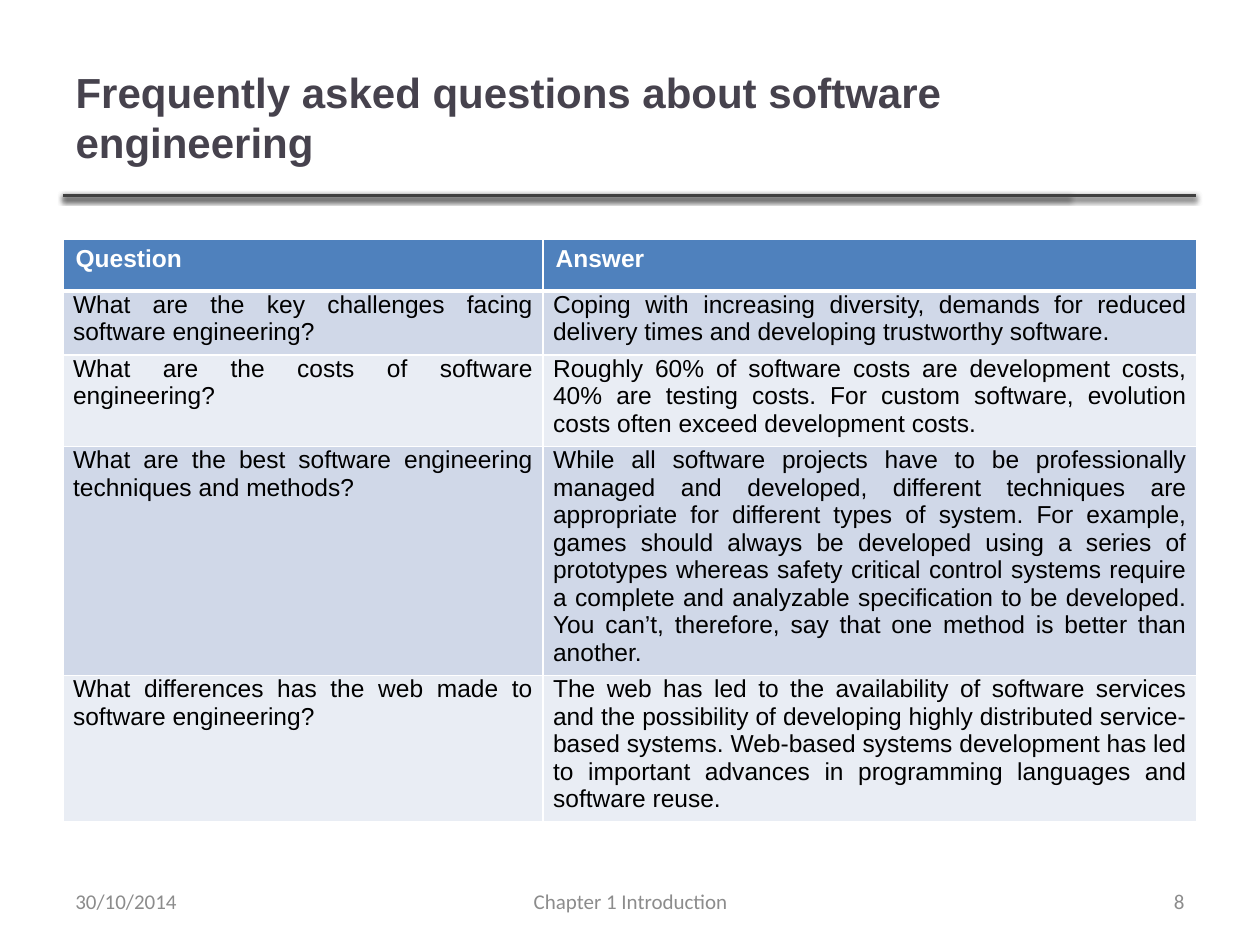
"""Build the slide of frequently asked questions about software engineering."""
from lxml import etree
from pptx import Presentation
from pptx import util as u
from pptx.dml.color import RGBColor
from pptx.enum import shapes, text
from pptx.oxml import ns

INK = RGBColor(0x46, 0x42, 0x4D)
RULE = RGBColor(0x40, 0x40, 0x40)
HEADER = RGBColor(0x4F, 0x81, 0xBD)
BANDS = (RGBColor(0xD0, 0xD8, 0xE8), RGBColor(0xE9, 0xED, 0xF4))
GREY = RGBColor(0x8C, 0x8C, 0x8C)
WHITE = RGBColor(0xFF, 0xFF, 0xFF)
BLACK = RGBColor(0, 0, 0)
ALIGN = text.PP_ALIGN

ROWS = [
    ("Question", "Answer"),
    ("What are the key challenges facing software engineering?",
     "Coping with increasing diversity, demands for reduced delivery times and "
     "developing trustworthy software."),
    ("What are the costs of software engineering?",
     "Roughly 60% of software costs are development costs, 40% are testing costs. "
     "For custom software, evolution costs often exceed development costs."),
    ("What are the best software engineering techniques and methods?",
     "While all software projects have to be professionally managed and developed, "
     "different techniques are appropriate for different types of system. For example, "
     "games should always be developed using a series of prototypes whereas safety "
     "critical control systems require a complete and analyzable specification to be "
     "developed. You can’t, therefore, say that one method is better than another."),
    ("What differences has the web made to software engineering?",
     "The web has led to the availability of software services and the possibility of "
     "developing highly distributed service-based systems. Web-based systems "
     "development has led to important advances in programming languages and "
     "software reuse."),
]


def add_node(parent, tag, **attrs):
    node = etree.SubElement(parent, ns.qn(tag))
    for name, value in attrs.items():
        node.set(name, str(value))
    return node


class Deck:
    def __init__(self, font="Arial", footer_font="Calibri"):
        self.font, self.footer_font = font, footer_font
        self.prs = Presentation()
        self.prs.slide_width, self.prs.slide_height = u.Inches(10), u.Inches(7.5)
        self.s = self.prs.slides.add_slide(self.prs.slide_layouts[5])

    def set_text(self, tf, content, size, color, align, font=None, bold=False):
        tf.text = content
        p = tf.paragraphs[0]
        p.alignment = align
        r = p.runs[0]
        r.font.name, r.font.size, r.font.bold = font or self.font, u.Pt(size), bold
        r.font.color.rgb = color

    def title(self, content, *box):
        sp = self.s.shapes.title
        sp.left, sp.top, sp.width, sp.height = map(u.Inches, box)
        tf = sp.text_frame
        tf.auto_size = text.MSO_AUTO_SIZE.NONE
        tf.vertical_anchor = text.MSO_ANCHOR.MIDDLE
        self.set_text(tf, content, 24, INK, ALIGN.LEFT, bold=True)

    def rule(self, left, right, top):
        sp = self.s.shapes.add_connector(
            shapes.MSO_CONNECTOR.STRAIGHT, *map(u.Inches, (left, top, right, top)))
        sp.line.color.rgb, sp.line.width = RULE, u.Pt(2)
        effects = add_node(sp._element.spPr, "a:effectLst")
        shadow = add_node(effects, "a:outerShdw", blurRad=u.Pt(3.1), dist=u.Pt(1.6),
                          dir=90 * 60000, rotWithShape=0)
        add_node(add_node(shadow, "a:srgbClr", val=BLACK), "a:alpha", val=38000)

    def borders(self, cell, **widths):
        tcPr = cell._tc.get_or_add_tcPr()
        for i, (side, width) in enumerate(widths.items()):
            ln = add_node(tcPr, f"a:ln{side}", w=u.Pt(width))
            add_node(add_node(ln, "a:solidFill"), "a:srgbClr", val=WHITE)
            tcPr.insert(i, ln)

    def table(self, rows, left, top, widths, row_height):
        table = self.s.shapes.add_table(
            len(rows), len(widths), u.Inches(left), u.Inches(top),
            u.Inches(sum(widths)), u.Inches(row_height * len(rows))).table
        for column, width in zip(table.columns, widths):
            column.width = u.Inches(width)
        for i, row in enumerate(rows):
            table.rows[i].height = u.Inches(row_height)
            for j, content in enumerate(row):
                self.cell(table.cell(i, j), content, i)

    def cell(self, cell, content, row):
        head = row == 0
        cell.fill.solid()
        cell.fill.fore_color.rgb = HEADER if head else BANDS[(row - 1) % 2]
        if not head:
            cell.margin_left = cell.margin_right = u.Inches(0.08)
            cell.margin_top, cell.margin_bottom = 0, u.Inches(0.07)
        self.set_text(cell.text_frame, content, 14, WHITE if head else BLACK,
                      ALIGN.LEFT if head else ALIGN.JUSTIFY, bold=head)
        self.borders(cell, L=1, R=1, T=3 if row == 1 else 1, B=3 if head else 1)

    def footer(self, content, left, width, align):
        sp = self.s.shapes.add_textbox(*map(u.Inches, (left, 6.95, width, 0.4)))
        tf = sp.text_frame
        tf.word_wrap = True
        tf.vertical_anchor = text.MSO_ANCHOR.MIDDLE
        self.set_text(tf, content, 12, GREY, align, self.footer_font)


def main():
    deck = Deck()
    for right in (8.49, 9.49, 9.49):
        deck.rule(0.5, right, 1.55)
    deck.title("Frequently asked questions about software engineering",
               0.5, 0.3, 7.98, 1.25)
    deck.table(ROWS, 0.5, 1.9, (3.81, 5.19), 0.41)
    deck.footer("Chapter 1 Introduction", 3.42, 3.17, ALIGN.CENTER)
    deck.footer("30/10/2014", 0.5, 2.33, ALIGN.LEFT)
    deck.footer("8", 7.17, 2.33, ALIGN.RIGHT)
    deck.prs.save("out.pptx")


if __name__ == "__main__":
    main()
